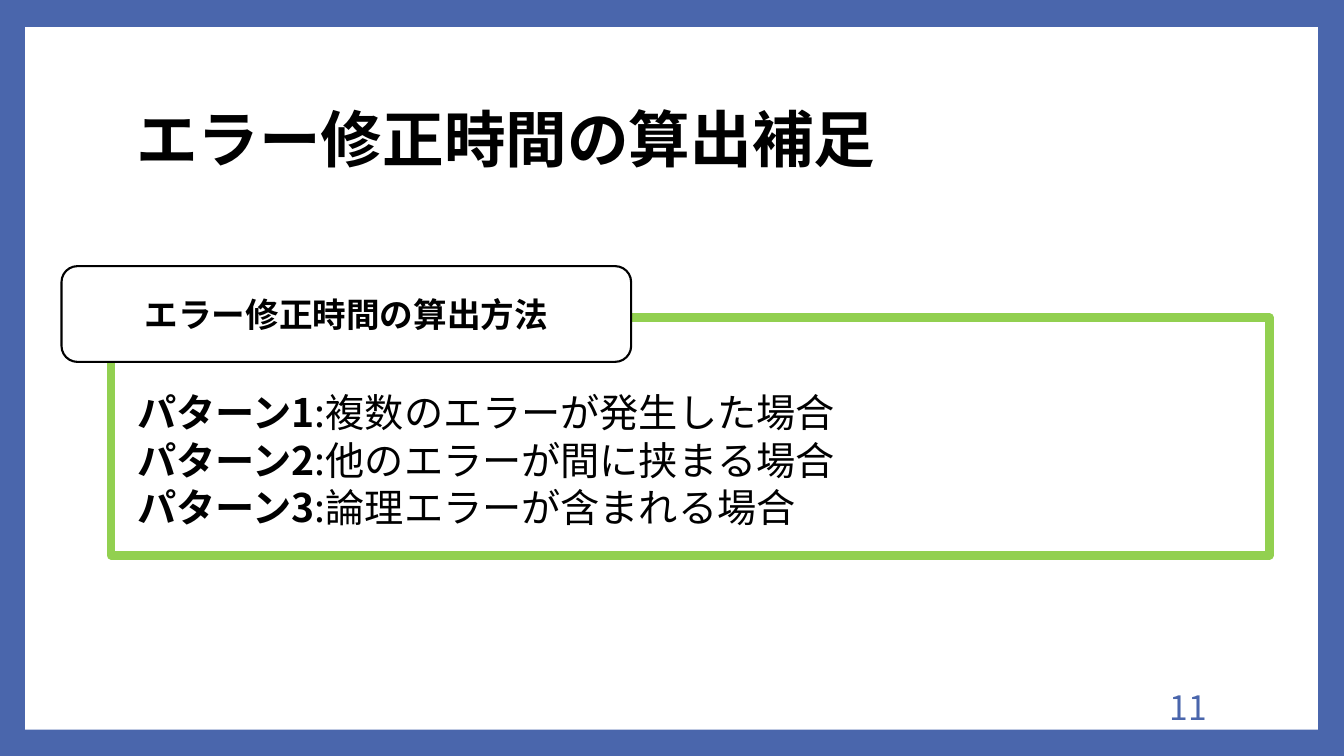
from lxml import etree
from pptx import Presentation
from pptx.dml.color import RGBColor
from pptx.enum import shapes, text
from pptx.oxml.ns import qn
from pptx.util import Inches, Pt

FONT = "Noto Sans CJK JP"
BLUE, GREEN, WHITE, BLACK = "4A66AC", "92D050", "FFFFFF", "000000"
TITLE = "エラー修正時間の算出補足"
METHOD = "エラー修正時間の算出方法"
PATTERNS = [
    ("パターン1", ":複数のエラーが発生した場合"),
    ("パターン2", ":他のエラーが間に挟まる場合"),
    ("パターン3", ":論理エラーが含まれる場合"),
]
PAGE = "11"
BOXES = {
    "paper": (0.25, 0.27, 12.82, 6.97),
    "page": (10.2, 6.81, 1.87, 0.4),
    "panel": (1.1, 3.15, 11.49, 2.36),
    "patterns": (1.26, 3.8, 10.79, 1.51),
    "method": (0.61, 2.64, 5.65, 0.95),
    "title": (1.25, 0.67, 10.8, 1.48),
}


def color(hex_value):
    return RGBColor.from_string(hex_value)


def box(name):
    return [Inches(length) for length in BOXES[name]]


def place(shape, name):
    for side, length in zip(("left", "top", "width", "height"), box(name)):
        setattr(shape, side, length)
    # Later parts lie in front of earlier ones
    slide.shapes._spTree.append(shape._element)


def add_panel(name, kind, line=None, width=0):
    shape = slide.shapes.add_shape(kind, *box(name))
    shape.shadow.inherit = False
    shape.fill.solid()
    shape.fill.fore_color.rgb = color(WHITE)
    if line:
        shape.line.color.rgb = color(line)
        shape.line.width = Pt(width)
        etree.SubElement(shape.line._get_or_add_ln(), qn("a:round"))
    else:
        shape.line.fill.background()
    return shape


def write(shape, lines, size, hex_value=BLACK, anchor="MIDDLE", **layout):
    """Each line is a list of (text, bold) runs."""
    frame = shape.text_frame
    frame.word_wrap = True
    frame.auto_size = text.MSO_AUTO_SIZE.NONE
    frame.vertical_anchor = text.MSO_ANCHOR[anchor]
    for number, runs in enumerate(lines):
        paragraph = frame.add_paragraph() if number else frame.paragraphs[0]
        for key, value in layout.items():
            setattr(paragraph, key, value)
        for words, bold in runs:
            run = paragraph.add_run()
            run.text = words
            for key, value in {"size": Pt(size), "name": FONT, "bold": bold}.items():
                setattr(run.font, key, value)
            run.font.color.rgb = color(hex_value)
            east_asian = etree.SubElement(run._r.get_or_add_rPr(), qn("a:ea"))
            east_asian.set("typeface", FONT)


presentation = Presentation()
presentation.slide_width, presentation.slide_height = Inches(13.33), Inches(7.5)
slide = presentation.slides.add_slide(presentation.slide_layouts[1])
title, patterns = slide.placeholders

# Blue frame around white paper, with the page number
slide.background.fill.solid()
slide.background.fill.fore_color.rgb = color(BLUE)
add_panel("paper", shapes.MSO_SHAPE.RECTANGLE)
page = slide.shapes.add_textbox(*box("page"))
write(page, [[(PAGE, False)]], 24, BLUE, alignment=text.PP_ALIGN.RIGHT)

# Green panel with the patterns
add_panel("panel", shapes.MSO_SHAPE.RECTANGLE, GREEN, 6)
place(patterns, "patterns")
lines = [[(name, True), (case, False)] for name, case in PATTERNS]
write(patterns, lines, 28, anchor="TOP", alignment=text.PP_ALIGN.LEFT,
      space_before=Pt(0), line_spacing=Pt(34))
for paragraph in patterns.text_frame.paragraphs:
    properties = paragraph._p.get_or_add_pPr()
    properties.set("marL", "0")
    properties.set("indent", "0")
    etree.SubElement(properties, qn("a:buNone"))

# Label over the corner of the panel
method = add_panel("method", shapes.MSO_SHAPE.ROUNDED_RECTANGLE, BLACK, 1.5)
write(method, [[(METHOD, True)]], 24, alignment=text.PP_ALIGN.CENTER)

# Title
place(title, "title")
write(title, [[(TITLE, True)]], 44, alignment=text.PP_ALIGN.LEFT, line_spacing=0.9)

presentation.save("out.pptx")
